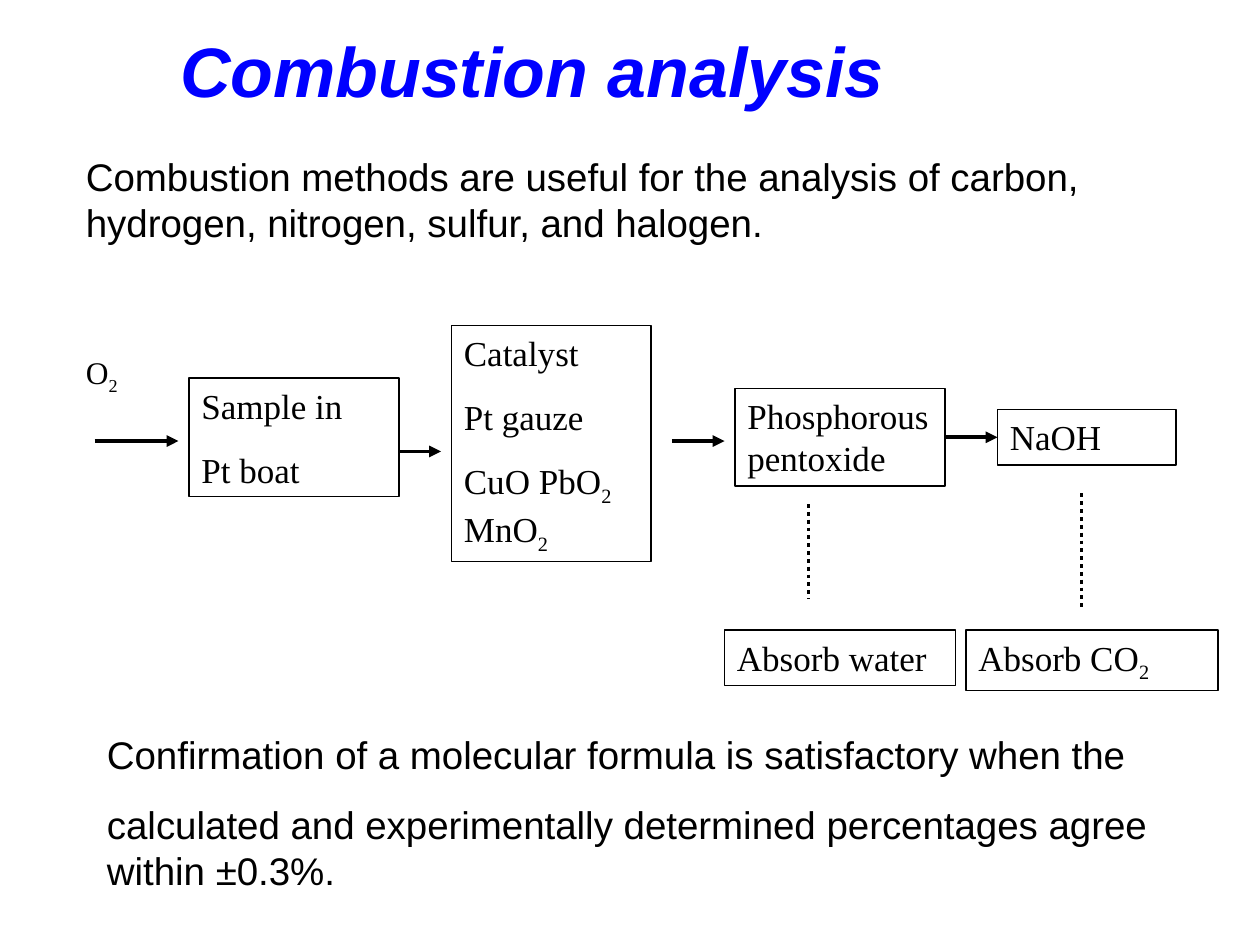
from dataclasses import dataclass
from typing import Optional

from lxml.etree import SubElement
from pptx import Presentation
from pptx.dml.color import RGBColor
from pptx.enum.dml import MSO_LINE as Dash
from pptx.enum.shapes import MSO_CONNECTOR as Link, MSO_SHAPE as Form
from pptx.enum.text import MSO_ANCHOR as Anchor, MSO_AUTO_SIZE as Fit, PP_ALIGN as Align
from pptx.oxml.ns import qn
from pptx.util import Inches, Pt

BLACK = RGBColor(0, 0, 0)
BLUE = RGBColor(0, 0, 255)
SANS, SERIF = "Arial", "Times New Roman"
COLS, ROWS = 120, 90
WIDE, HIGH = Inches(10), Inches(7.5)
LEFT, RIGHT = 1, 3


@dataclass
class Block:
    """Text in grid units; parts between underscores are subscripts."""
    col: float
    row: float
    cols: float
    rows: float
    lines: list[str]
    size: int = 20
    font: str = SERIF
    color: RGBColor = BLACK
    bold: bool = False
    gap: float = 12.5


@dataclass
class Line:
    col: float
    row: float
    end_col: float
    end_row: float
    start: Optional[str] = None
    stop: Optional[str] = None


PLAIN = [
    Block(7, 14, 101, 10.1, ["Combustion methods are useful for the analysis of carbon, "
                             "hydrogen, nitrogen, sulfur, and halogen."], 22, SANS),
    Block(7, 33, 9, 5.3, ["O_2"], 18),
    Block(9, 69, 105, 16.7, ["Confirmation of a molecular formula is satisfactory when the",
                             "calculated and experimentally determined percentages agree "
                             "within ±0.3%."], 22, SANS, gap=13.8),
    Block(16, 2, 85, 9.2, ["Combustion analysis"], 40, SANS, BLUE, True),
]
BOXES = {
    "sample": Block(18, 36, 20, 11.3, ["Sample in", "Pt boat"]),
    "catalyst": Block(43, 31, 19, 22.5, ["Catalyst", "Pt gauze", "CuO PbO_2_ MnO_2"]),
    "drier": Block(70, 37, 20, 9.3, ["Phosphorous pentoxide"]),
    "base": Block(95, 39, 17, 5.3, ["NaOH"]),
    "water": Block(69, 60, 22, 5.3, ["Absorb water"]),
    "gas": Block(92, 60, 24, 5.8, ["Absorb CO_2"]),
}
ARROWS = [
    Line(9, 42, 17, 42),
    Line(38, 43, 42, 43),
    Line(64, 42, 69, 42),
    Line(90, 42, 95, 42, "drier", "base"),
]
DOTS = [Line(77, 48, 77, 57), Line(103, 47, 103, 58)]


def across(cols: float) -> int:
    return round(WIDE * cols / COLS)


def down(rows: float) -> int:
    return round(HIGH * rows / ROWS)


def place(block: Block) -> tuple:
    return across(block.col), down(block.row), across(block.cols), down(block.rows)


def write(frame, block: Block) -> None:
    frame.word_wrap = True
    frame.auto_size = Fit.SHAPE_TO_FIT_TEXT
    frame.vertical_anchor = Anchor.TOP
    for i, line in enumerate(block.lines):
        para = frame.add_paragraph() if i else frame.paragraphs[0]
        para.alignment = Align.LEFT
        if i:
            para.space_before = Pt(block.gap)
        for j, part in enumerate(filter(None, line.split("_"))):
            run = para.add_run()
            run.text = part
            font = run.font
            font.name, font.size = block.font, Pt(block.size)
            font.bold = font.italic = block.bold
            font.color.rgb = block.color
            if j % 2:
                run._r.get_or_add_rPr().set("baseline", "-25000")


def add_box(shapes, block: Block):
    box = shapes.add_shape(Form.RECTANGLE, *place(block))
    box.shadow.inherit = False
    box.fill.background()
    box.line.color.rgb = BLACK
    box.line.width = Pt(0.75)
    write(box.text_frame, block)
    return box


def add_line(shapes, line: Line, boxes: dict, dotted: bool = False) -> None:
    link = shapes.add_connector(Link.STRAIGHT, across(line.col), down(line.row),
                                across(line.end_col), down(line.end_row))
    link.line.color.rgb = BLACK
    link.line.width = Pt(2.25)
    if line.start:
        link.begin_connect(boxes[line.start], RIGHT)
    if line.stop:
        link.end_connect(boxes[line.stop], LEFT)
    if dotted:
        link.line.dash_style = Dash.ROUND_DOT
    else:
        SubElement(link.line._get_or_add_ln(), qn("a:tailEnd"), type="triangle")
    SubElement(link._element.spPr, qn("a:effectLst"))


def main() -> None:
    deck = Presentation()
    deck.slide_width, deck.slide_height = WIDE, HIGH
    shapes = deck.slides.add_slide(deck.slide_layouts[6]).shapes
    for block in PLAIN:
        write(shapes.add_textbox(*place(block)).text_frame, block)
    boxes = {name: add_box(shapes, block) for name, block in BOXES.items()}
    for line in ARROWS:
        add_line(shapes, line, boxes)
    for line in DOTS:
        add_line(shapes, line, boxes, dotted=True)
    deck.save("out.pptx")


if __name__ == "__main__":
    main()
